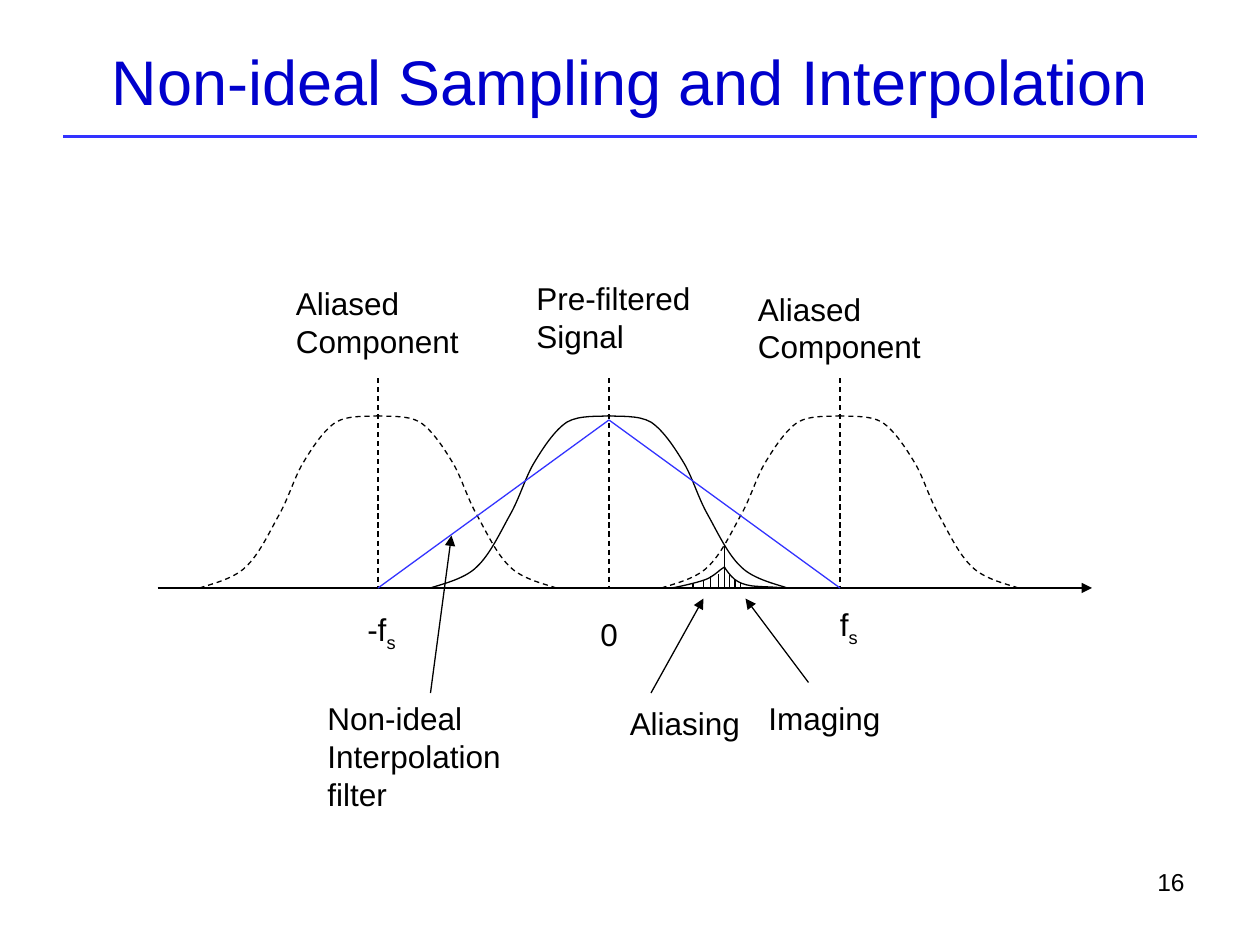
from dataclasses import dataclass

from lxml import etree
from pptx import Presentation
from pptx import util as u
from pptx.dml.color import RGBColor
from pptx.enum import dml, shapes, text
from pptx.oxml.ns import qn

COLUMNS, ROWS = 120, 90  # grid of 1/12 inch squares
UNIT = u.Inches(10) / COLUMNS


@dataclass(frozen=True)
class Theme:
    font: str = "Arial"
    title_size: int = 36
    label_size: int = 18
    number_size: int = 14
    ink: str = "000000"
    title: str = "0000CC"
    accent: str = "3333FF"
    thin: float = 0.75
    rule: float = 2.25


@dataclass(frozen=True)
class Box:
    """A region in grid columns and rows."""
    left: float
    top: float
    width: float
    height: float

    def inner(self, column, row, width, height):
        return Box(self.left + column, self.top + row, width, height)

    def point(self, column, row):
        return round((self.left + column) * UNIT), round((self.top + row) * UNIT)

    def frame(self):
        return (*self.point(0, 0), round(self.width * UNIT), round(self.height * UNIT))


THEME = Theme()

# Distance from the centre and height above the axis: a start, then Bézier triples
BELL = [(-17, 0), (-16.2, 0.3), (-13.8, 0.8), (-12.6, 2),
        (-11.3, 3.2), (-10.3, 5.4), (-9.4, 7), (-8.5, 8.6), (-8, 10.4), (-7.2, 11.8),
        (-6.3, 13.3), (-5.2, 15), (-4, 15.8), (-2.8, 16.5), (-0.9, 16.3), (0, 16.4)]
ALIASING = [(-5, 0), (-4.4, 0.1), (-2.6, 0.5), (-1.8, 0.8), (-1, 1.1), (-0.4, 1.8), (0, 2)]
IMAGING = [(0, 2), (0.1, 1.8), (0.6, 1.1), (1, 0.8), (1.4, 0.5), (1.9, 0.3), (2.6, 0.2),
           (3.4, 0.1), (4.9, 0.1), (5.5, 0)]
HATCHING = [(-3, 0.5), (-2, 0.7), (-1.3, 1.1), (-0.6, 1.3), (0, 4),
            (0.5, 1.2), (1, 0.8), (1.5, 0.6)]


def style_line(line, color=THEME.ink, width=THEME.thin, dashed=False):
    line.color.rgb = RGBColor.from_string(color)
    line.width = u.Pt(width)
    if dashed:
        line.dash_style = dml.MSO_LINE.DASH


def add_line(page, start, end, arrow=False, **style):
    line = page.shapes.add_connector(shapes.MSO_CONNECTOR.STRAIGHT, *start, *end)
    style_line(line.line, **style)
    properties = line._element.spPr
    if arrow:
        etree.SubElement(properties.find(qn("a:ln")), qn("a:tailEnd"), type="triangle")
    etree.SubElement(properties, qn("a:effectLst"))


def add_curve(page, points, dashed=False):
    """Draw a start point followed by triples of Bézier points."""
    builder = page.shapes.build_freeform(*points[0])
    builder.add_line_segments(points[1:], close=False)
    curve = builder.convert_to_shape()
    curve.shadow.inherit = False
    curve.fill.background()
    style_line(curve.line, dashed=dashed)
    outline = curve._element.spPr.find(".//" + qn("a:path"))
    steps = outline.findall(qn("a:lnTo"))
    for first in range(0, len(steps), 3):
        bend = etree.SubElement(outline, qn("a:cubicBezTo"))
        for step in steps[first:first + 3]:
            bend.append(step[0])
            outline.remove(step)


def format_font(font, size, color):
    font.name = THEME.font
    font.size = u.Pt(size)
    font.color.rgb = RGBColor.from_string(color)


def add_label(page, box, words, subscript="", size=THEME.label_size, align=None, wrap=False):
    label = page.shapes.add_textbox(*box.frame())
    frame = label.text_frame
    frame.text = words
    frame.word_wrap = wrap
    if not wrap:
        frame.auto_size = text.MSO_AUTO_SIZE.SHAPE_TO_FIT_TEXT
    if subscript:
        span = frame.paragraphs[0].add_run()
        span.text = subscript
        span._r.get_or_add_rPr().set("baseline", "-25000")
    for para in frame.paragraphs:
        para.alignment = align
        for span in para.runs:
            format_font(span.font, size, THEME.ink)


def add_header(page, box):
    title = page.shapes.title
    title.left, title.top, title.width, title.height = box.inner(0, 0, box.width, 9.3).frame()
    frame = title.text_frame
    frame.text = "Non-ideal Sampling and Interpolation"
    frame.vertical_anchor = text.MSO_ANCHOR.MIDDLE
    para = frame.paragraphs[0]
    para.alignment = text.PP_ALIGN.CENTER
    format_font(para.runs[0].font, THEME.title_size, THEME.title)
    add_line(page, box.point(0, box.height), box.point(box.width, box.height),
             color=THEME.accent, width=THEME.rule)


def add_spectrum(page, box):
    axis, centre, period, overlap = box.height, 43, 22, 54

    def place(points, origin, mirror=1):
        return [box.point(origin + mirror * x, axis - y) for x, y in points]

    add_line(page, box.point(0, axis), box.point(box.width, axis), arrow=True)
    for order in (0, 1, -1):
        middle = centre + order * period
        for mirror in (1, -1):
            add_curve(page, place(BELL, middle, mirror), dashed=order != 0)
        add_line(page, box.point(middle, 0), box.point(middle, axis), dashed=True)
    for side in (-1, 1):
        add_line(page, box.point(centre, 4), box.point(centre + side * period, axis),
                 color=THEME.accent)
    for points in (ALIASING, IMAGING):
        add_curve(page, place(points, overlap))
    for x, height in HATCHING:
        add_line(page, *place([(x, 0), (x, height)], overlap))


def add_annotations(page, box):
    """Label the spectrum whose box is given and point at its parts."""
    labels = [
        (12, -9.5, 18.2, 8.4, "Aliased\nComponent", ""),
        (56, -9, 18.2, 8.4, "Aliased\nComponent", ""),
        (34.9, -10, 17.4, 8.4, "Pre-filtered\nSignal", ""),
        (15, 30, 19.2, 12, "Non-ideal\nInterpolation\nfilter", ""),
        (18.8, 21.5, 5.4, 5.3, "-f", "s"),
        (63.8, 21, 4.4, 5.3, "f", "s"),
        (41, 22, 4.4, 4.8, "0", ""),
        (43.8, 30.5, 13.2, 4.8, "Aliasing", ""),
        (57, 30, 13.4, 4.8, "Imaging", ""),
    ]
    for *place, words, subscript in labels:
        add_label(page, box.inner(*place), words, subscript)
    for start, end in [((26, 30), (28, 15)), ((47, 30), (52, 21)), ((62, 29), (56, 21))]:
        add_line(page, box.point(*start), box.point(*end), arrow=True)


def main():
    deck = Presentation()
    deck.slide_width, deck.slide_height = round(COLUMNS * UNIT), round(ROWS * UNIT)
    page = deck.slides.add_slide(deck.slide_layouts[5])
    spectrum = Box(15, 36, 89, 20)
    add_header(page, Box(6, 3, 108, 10))
    add_spectrum(page, spectrum)
    add_annotations(page, spectrum)
    add_label(page, Box(86, 82, 28, 6.2), "16", size=THEME.number_size,
              align=text.PP_ALIGN.RIGHT, wrap=True)
    deck.save("out.pptx")


if __name__ == "__main__":
    main()
